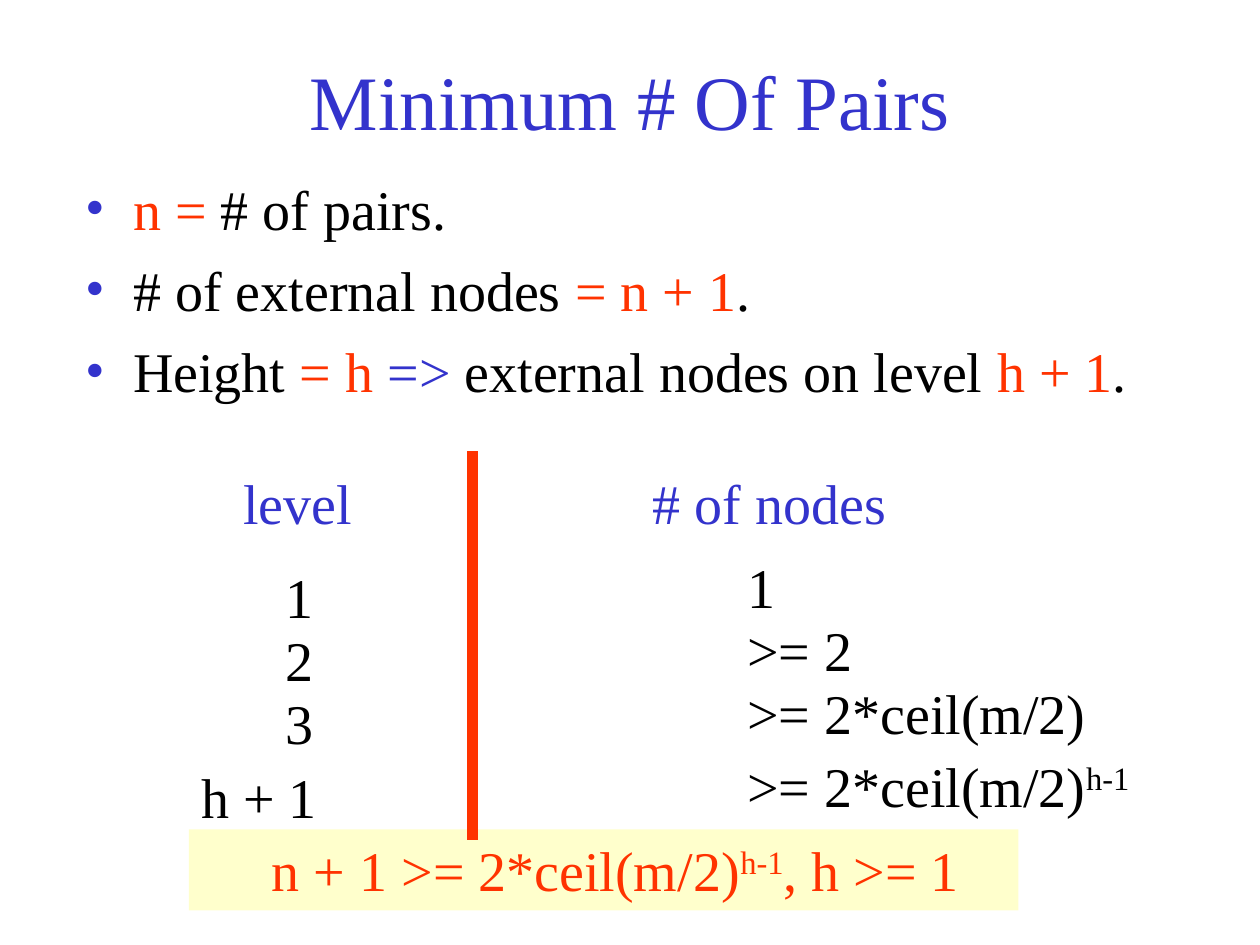
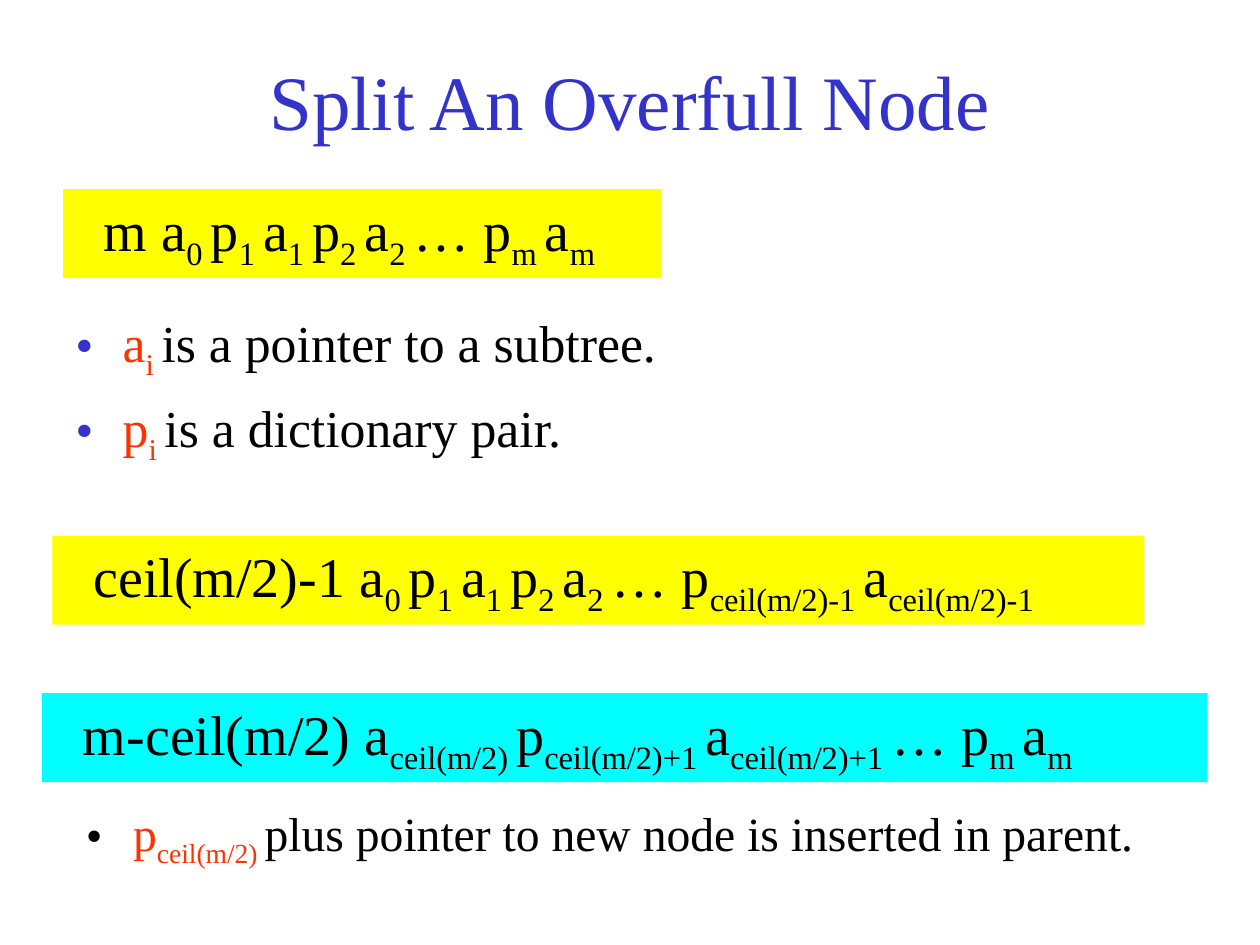
from pptx import Presentation
from pptx import util as u
from pptx.dml.color import RGBColor
from pptx.enum import shapes, text
from pptx.oxml import parse_xml
from pptx.oxml.ns import nsdecls, qn

PX = 7620  # EMU in one px, at 120 px to the inch
FONT = "Times New Roman"
COLORS = {
    "blue": "3333CC",
    "red": "FF3300",
    "black": "000000",
    "cream": "FFFFCC",
    "yellow": "FFFF00",
    "cyan": "00FFFF",
}


def rgb(name):
    return RGBColor.from_string(COLORS[name])


def px(*lengths):
    return [u.Emu(length * PX) for length in lengths]


def span(words, color="black", baseline=0):
    """Describe one run; baseline is a shift in percent of the text size."""
    return words, color, baseline


def red(words, baseline=0):
    return span(words, "red", baseline)


def node(count, *entries):
    """Runs of a node: its count, then (letter, subscript) entries."""
    spans = [span(count + " ")]
    for place, (letter, index) in enumerate(entries, 1):
        gap = " " if place < len(entries) else ""
        spans += [span(letter), span(index + gap, baseline=-25)]
    return spans


class Slides:
    """Holds the shared style and the page that is being filled."""

    def __init__(self):
        self.deck = Presentation()
        self.deck.slide_width, self.deck.slide_height = px(1200, 900)
        self.page = None

    def start(self, title):
        self.page = self.deck.slides.add_slide(self.deck.slide_layouts[5])
        box = self.page.shapes.title
        box.left, box.top, box.width, box.height = px(90, 20, 1020, 150)
        box.text_frame.vertical_anchor = text.MSO_ANCHOR.MIDDLE
        para = box.text_frame.paragraphs[0]
        para.alignment = text.PP_ALIGN.CENTER
        self.add_spans(para, [span(title, "blue")], size=44)

    def add_spans(self, para, spans, size=32):
        for words, color, baseline in spans:
            run = para.add_run()
            run.text = words
            run.font.name = FONT
            run.font.size = u.Pt(size)
            run.font.color.rgb = rgb(color)
            if baseline:
                run.font._element.set("baseline", str(baseline * 1000))

    def label(self, spans, x, y, width, height=77):
        box = self.page.shapes.add_textbox(*px(x, y, width, height))
        self.fill_line(box, spans)

    def band(self, spans, x, y, width, height, color, indent):
        box = self.page.shapes.add_shape(
            shapes.MSO_SHAPE.RECTANGLE, *px(x, y, width, height))
        box.shadow.inherit = False
        box.fill.solid()
        box.fill.fore_color.rgb = rgb(color)
        box.line.fill.background()
        self.fill_line(box, spans)
        box.text_frame.margin_left = px(12 + indent)[0]

    def fill_line(self, box, spans):
        """Put a single left-aligned line at the top of a box."""
        frame = box.text_frame
        frame.word_wrap = True
        frame.auto_size = text.MSO_AUTO_SIZE.SHAPE_TO_FIT_TEXT
        frame.vertical_anchor = text.MSO_ANCHOR.TOP
        para = frame.paragraphs[0]
        para.alignment = text.PP_ALIGN.LEFT
        para.space_before = u.Pt(20)
        self.add_spans(para, spans)

    def bullets(self, items, x, y, width, height, size=32, mark="blue"):
        box = self.page.shapes.add_textbox(*px(x, y, width, height))
        frame = box.text_frame
        frame.word_wrap = True
        for place, spans in enumerate(items):
            para = frame.add_paragraph() if place else frame.paragraphs[0]
            para.space_before = u.Pt(8)
            props = para._p.get_or_add_pPr()
            indent = px(45)[0]
            props.set("marL", str(indent))
            props.set("indent", str(-indent))
            props.append(parse_xml(
                f'<a:buClr {nsdecls("a")}><a:srgbClr val="{COLORS[mark]}"/></a:buClr>'))
            props.append(parse_xml(f'<a:buFont {nsdecls("a")} typeface="{FONT}"/>'))
            props.append(parse_xml(f'<a:buChar {nsdecls("a")} char="•"/>'))
            self.add_spans(para, spans, size)

    def line(self, x1, y1, x2, y2, color, weight):
        rule = self.page.shapes.add_connector(
            shapes.MSO_CONNECTOR.STRAIGHT, *px(x1, y1, x2, y2))
        rule.line.color.rgb = rgb(color)
        rule.line.width = u.Pt(weight)
        props = rule._element.spPr
        props.append(props.makeelement(qn("a:effectLst"), {}))


def minimum_pairs(slides):
    slides.start("Minimum # Of Pairs")
    slides.bullets([
        [red("n ="), span(" # of pairs.")],
        [span("# of external nodes "), red("= n + 1"), span(".")],
        [span("Height "), red("= h "), span("=>", "blue"),
         span(" external nodes on level "), red("h + 1"), span(".")],
    ], 70, 160, 1020, 230)

    bound = ">= 2*ceil(m/2)"
    power = "h-1"
    levels = [
        ("1", 260, 530, [span("1")]),
        ("2", 260, 590, [span(">= 2")]),
        ("3", 260, 650, [span(bound)]),
        ("h + 1", 180, 720, [span(bound), span(power, baseline=30)]),
    ]
    for level, x, y, count in levels:
        slides.label([span(level)], x, y, 180)
        slides.label(count, 700, y - 10, 450)

    slides.band([red("n + 1 " + bound), red(power, 30), red(", h >= 1")],
                180, 790, 790, 77, "cream", indent=67)
    slides.label([span("level", "blue")], 220, 440, 180)
    slides.label([span("# of nodes", "blue")], 610, 440, 270)
    slides.line(450, 430, 450, 800, "red", 6)


def split_node(slides):
    slides.start("Split An Overfull Node")
    slides.bullets([
        [red("a"), red("i ", -25), span("is a pointer to a subtree.")],
        [red("p"), red("i ", -25), span("is a dictionary pair.")],
    ], 60, 290, 1020, 160, size=29.6)

    half = "ceil(m/2)"
    first = [("a", "0"), ("p", "1"), ("a", "1"), ("p", "2"), ("a", "2")]
    last = [("… p", "m"), ("a", "m")]
    full = node("m", *first, *last)
    left = node(half + "-1", *first, ("… p", half + "-1"), ("a", half + "-1"))
    right = node("m-" + half, ("a", half), ("p", half + "+1"),
                 ("a", half + "+1"), *last)
    for spans, x, y, width, color in [
        (full, 60, 180, 570, "yellow"),
        (left, 50, 510, 1040, "yellow"),
        (right, 40, 660, 1110, "cyan"),
    ]:
        slides.band(spans, x, y, width, 85, color, indent=27)

    slides.bullets([
        [red("p"), red(half + " ", -25),
         span("plus pointer to new node is inserted in parent.")],
    ], 70, 760, 1090, 100, size=27.2, mark="black")


def main():
    slides = Slides()
    minimum_pairs(slides)
    split_node(slides)
    slides.deck.save("out.pptx")


if __name__ == "__main__":
    main()
